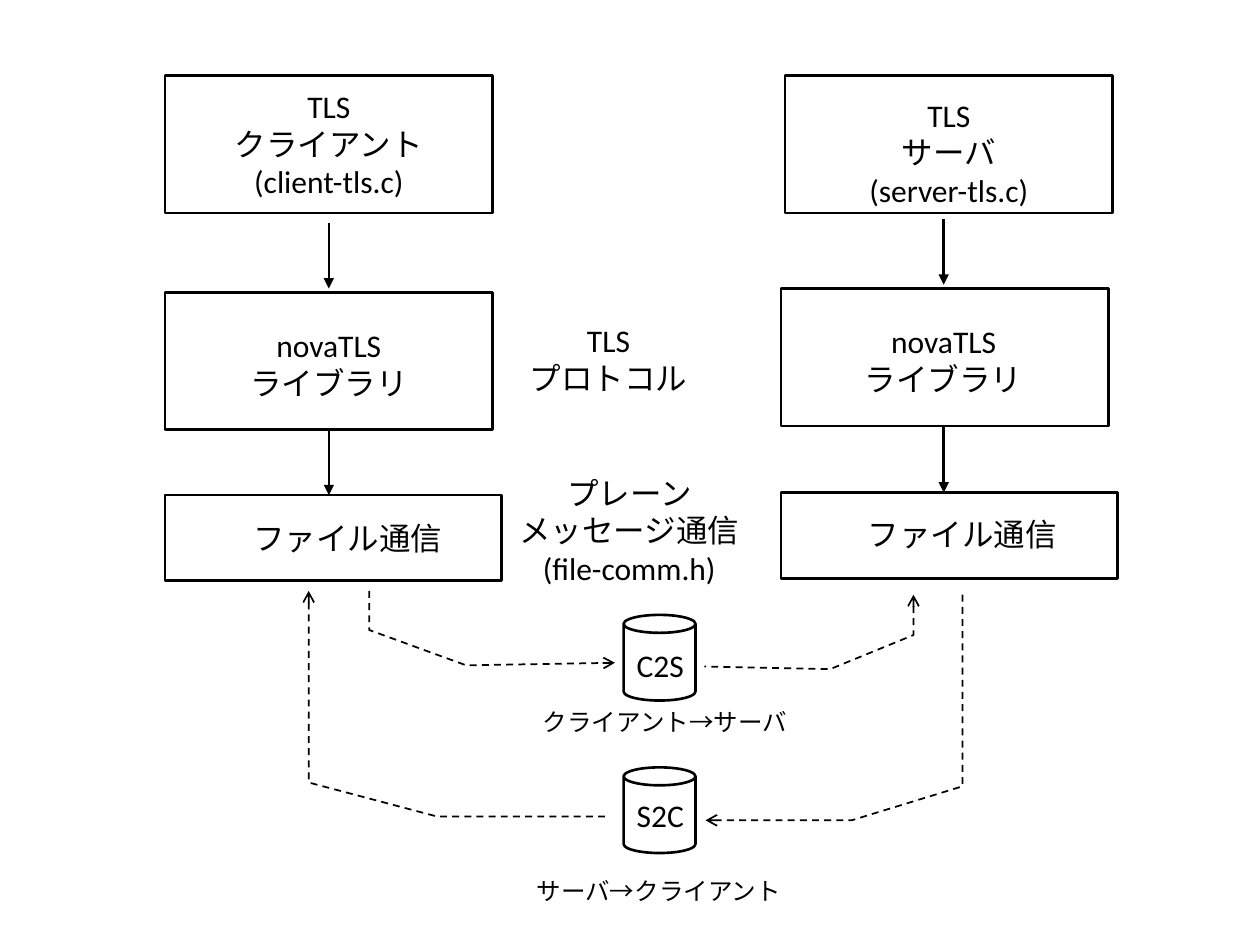
from lxml import etree
from pptx import Presentation
from pptx.dml.color import RGBColor
from pptx.enum import dml, shapes, text
from pptx.oxml.ns import qn
from pptx.util import Inches, Pt

BLACK, WHITE = "000000", "FFFFFF"
BOXES = [
    (1.31, 0.6, 2.6, 1.09), (1.31, 2.32, 2.6, 1.09), (1.31, 3.93, 2.67, 0.68),
    (6.23, 0.6, 2.6, 1.09), (6.2, 2.29, 2.6, 1.09), (6.2, 3.91, 2.67, 0.68),
]
CANS = [(4.95, 4.88, 0.57, 0.68), (4.95, 6.09, 0.57, 0.68)]
LIB = ["novaTLS", "ライブラリ"]
FILE = ["ファイル通信"]
MID, LEFT = text.PP_ALIGN.CENTER, text.PP_ALIGN.LEFT
LABELS = [
    (1.75, 0.64, 1.72, 1.01, ["TLS", "クライアント", "(client-tls.c)"], 18, MID),
    (6.79, 0.71, 1.48, 1.01, ["TLS", "サーバ", "(server-tls.c)"], 18, MID),
    (1.88, 2.54, 1.46, 0.71, LIB, 18, MID),
    (6.76, 2.51, 1.46, 0.71, LIB, 18, MID),
    (1.91, 4.07, 1.72, 0.4, FILE, 18, LEFT),
    (6.79, 4.04, 1.72, 0.4, FILE, 18, LEFT),
    (4.1, 2.5, 1.46, 0.71, ["TLS", "プロトコル"], 18, MID),
    (4.01, 3.71, 1.97, 1.01,
     ["プレーン", "メッセージ通信", "(file-comm.h)"], 18, MID),
    (4.95, 5.08, 0.58, 0.4, ["C2S"], 18, MID),
    (4.95, 6.27, 0.58, 0.4, ["S2C"], 18, MID),
    (4.21, 5.56, 2.15, 0.34, ["クライアント→サーバ"], 14, LEFT),
    (4.16, 6.9, 2.15, 0.34, ["サーバ→クライアント"], 14, LEFT),
]
ARROWS = [(2.61, 1.77, 2.29), (2.61, 3.41, 3.93),
          (7.49, 1.74, 2.26), (7.49, 3.38, 3.91)]
FLOWS = [
    ([(2.93, 4.69), (2.93, 5), (3.7, 5.28), (4.88, 5.26)], "tailEnd"),
    ([(2.45, 4.69), (2.45, 6.21), (3.47, 6.48), (4.82, 6.48)], "headEnd"),
    ([(7.25, 4.72), (7.25, 5.04), (6.59, 5.31), (5.59, 5.29)], "headEnd"),
    ([(7.64, 4.72), (7.64, 6.24), (6.76, 6.51), (5.6, 6.51)], "tailEnd"),
]

deck = Presentation()
deck.slide_width, deck.slide_height = Inches(10), Inches(7.5)
slide = deck.slides.add_slide(deck.slide_layouts[6])
parts = slide.shapes


def color(code):
    return RGBColor.from_string(code)


def stroke(item, width):
    item.line.color.rgb = color(BLACK)
    item.line.width = Pt(width)


def tip(item, end, kind):
    line = item.line._get_or_add_ln()
    etree.SubElement(line, qn("a:" + end), type=kind)


def solid(kind, spot, fill=None):
    item = parts.add_shape(kind, *map(Inches, spot))
    item.shadow.inherit = False
    if fill:
        item.fill.solid()
        item.fill.fore_color.rgb = color(fill)
    else:
        item.fill.background()
    stroke(item, 1.5)


def label(x, y, w, h, lines, size, align):
    frame = parts.add_textbox(*map(Inches, (x, y, w, h))).text_frame
    frame.word_wrap = False
    frame.auto_size = text.MSO_AUTO_SIZE.SHAPE_TO_FIT_TEXT
    frame.text = "\n".join(lines)
    for para in frame.paragraphs:
        para.alignment = align
        para.font.size = Pt(size)
        para.font.name = "Calibri"
        para.font.color.rgb = color(BLACK)


def arrow(x, top, end):
    item = parts.add_connector(shapes.MSO_CONNECTOR.STRAIGHT,
                               *map(Inches, (x, top, x, end)))
    stroke(item, 1.5)
    tip(item, "tailEnd", "triangle")
    etree.SubElement(item._element.spPr, qn("a:effectLst"))


def flow(points, end):
    first, *rest = [(Inches(x), Inches(y)) for x, y in points]
    path = parts.build_freeform(*first)
    path.add_line_segments(rest, close=False)
    item = path.convert_to_shape()
    item.shadow.inherit = False
    item.fill.background()
    stroke(item, 1)
    item.line.dash_style = dml.MSO_LINE.DASH
    tip(item, end, "arrow")


for spot in BOXES:
    solid(shapes.MSO_SHAPE.RECTANGLE, spot, WHITE)
for spot in CANS:
    solid(shapes.MSO_SHAPE.CAN, spot)
for row in ARROWS:
    arrow(*row)
for row in FLOWS:
    flow(*row)
for row in LABELS:
    label(*row)

deck.save("out.pptx")
